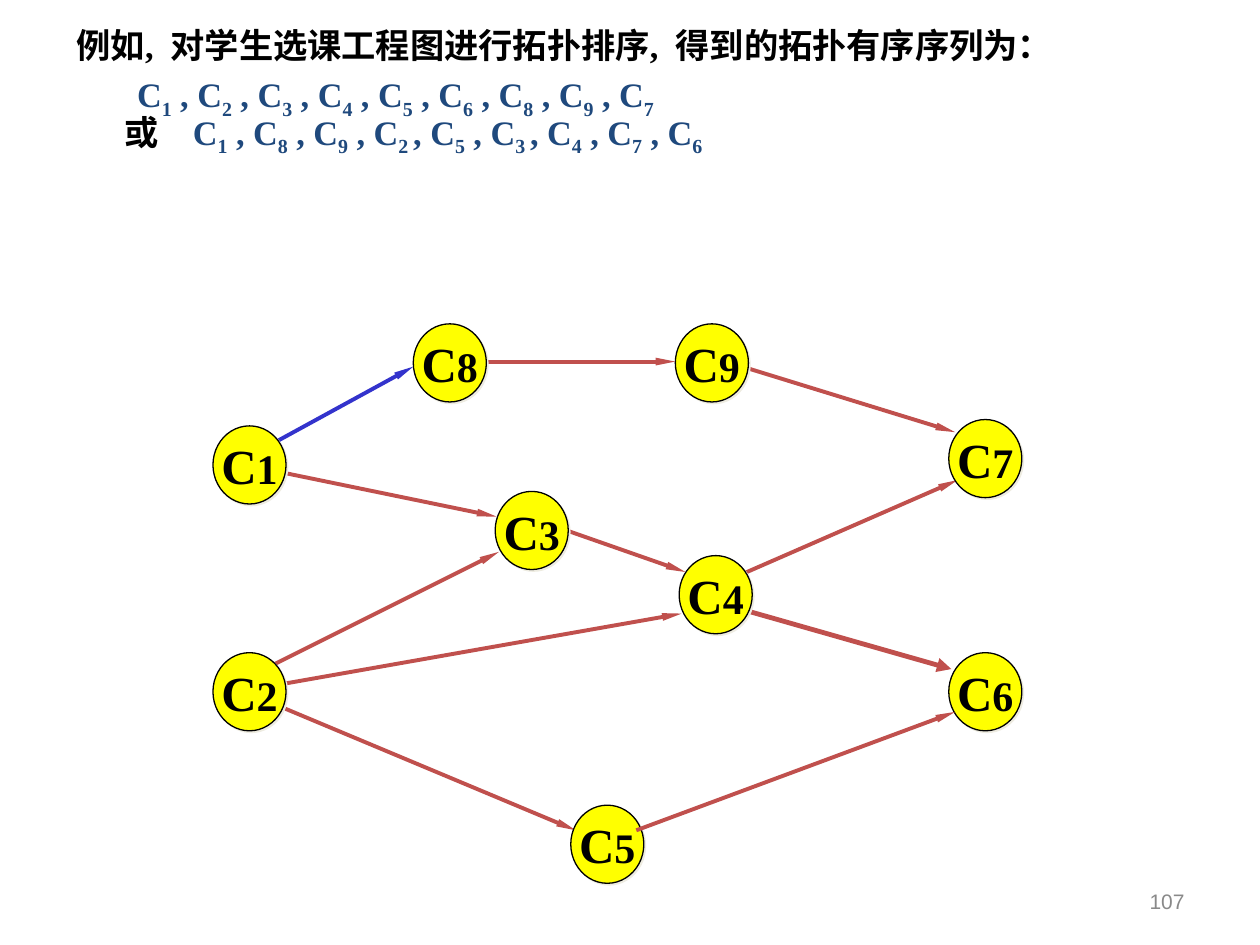
"""Build a slide with a course graph and two of its topological orders."""
from lxml import etree
from pptx import Presentation
from pptx.dml.color import RGBColor
from pptx.enum import shapes, text
from pptx.oxml import ns
from pptx.util import Inches, Pt

SERIF = "Times New Roman"
BLACK, NAVY, RED, BLUE = "000000", "1F497D", "C0504D", "3333CC"
YELLOW, CREAM, GRAY = "FFFF00", "EEECE1", "898989"
NODE_W, NODE_H = 0.58, 0.62

TITLE = "例如,  对学生选课工程图进行拓扑排序,  得到的拓扑有序序列为："
PAGE = "107"
ORDERS = [
    ("", ["1", "2", "3", "4", "5", "6", "8", "9", "7"], 0.1, 7),
    ("或\u3000".replace("\u3000", "　"),
     ["1", "8", "9", "2 ", "5", "3 ", "4", "7", "6"], 0, 0),
]
NODES = {
    "8": (3.28, 2.57), "3": (3.93, 3.9), "5": (4.53, 6.39),
    "4": (5.39, 4.41), "9": (5.36, 2.57), "6": (7.53, 5.18),
    "7": (7.53, 3.33), "1": (1.69, 3.38), "2": (1.69, 5.18),
}
THIN, BOLD = (2.25, "sm", "lg"), (2.75, "med", "med")
EDGES_BEHIND = [
    (2.12, 5.45, 5.41, 4.87, RED, THIN),
    (4.44, 4.19, 5.44, 4.54, RED, THIN),
    (5.86, 2.9, 7.58, 3.43, RED, THIN),
    (5.79, 4.6, 7.6, 3.81, RED, THIN),
    (3.61, 2.87, 5.36, 2.87, RED, THIN),
    (5.9, 4.84, 7.55, 5.31, RED, BOLD),
    (2.11, 5.56, 4.57, 6.59, RED, THIN),
    (2.1, 5.31, 3.96, 4.38, RED, THIN),
    (1.85, 3.67, 3.94, 4.1, RED, THIN),
    (2.11, 3.55, 3.28, 2.91, BLUE, THIN),
]
EDGES_FRONT = [(5.05, 6.59, 7.58, 5.65, RED, THIN)]


def rgb(color):
    """Turn a hex string into a colour."""
    return RGBColor.from_string(color)


def add_run(p, words, size, color, name=SERIF, bold=True, sub=False):
    """Append a formatted run, lowered when it is a subscript."""
    r = p.add_run()
    r.text = words
    r.font.size, r.font.bold, r.font.name = Pt(size), bold, name
    r.font.color.rgb = rgb(color)
    if sub:
        r._r.get_or_add_rPr().set("baseline", "-25000")


def add_box(s, left, top, width, height):
    """Add a wrapping text box and return its text frame."""
    tf = s.shapes.add_textbox(*map(Inches, (left, top, width, height))).text_frame
    tf.word_wrap = True
    return tf


def set_indent(p, left, first):
    """Set the left margin and first-line indent of a paragraph."""
    pPr = p._p.get_or_add_pPr()
    pPr.set("marL", str(Inches(left)))
    pPr.set("indent", str(Inches(first)))
    p.line_spacing = 0.8


def add_orders(s):
    """Write the heading and the orders with subscripts."""
    tf = add_box(s, 0.51, 0.21, 9, 1.36)
    p = tf.paragraphs[0]
    set_indent(p, 0.38, -0.38)
    add_run(p, TITLE, 19.6, BLACK)
    for lead, order, first, before in ORDERS:
        p = tf.add_paragraph()
        set_indent(p, 0.38, first)
        p.space_before = Pt(before)
        if lead:
            add_run(p, lead, 19.6, BLACK)
        joint = ""
        for number in order:
            add_run(p, joint + "C", 19.6, NAVY)
            add_run(p, number, 19.6, NAVY, sub=True)
            joint = ", " if number.endswith(" ") else " , "


def add_edge(s, x1, y1, x2, y2, color, style):
    """Draw an arrow between two points."""
    width, head_w, head_len = style
    line = s.shapes.add_connector(
        shapes.MSO_CONNECTOR.STRAIGHT, *map(Inches, (x1, y1, x2, y2)))
    line.line.color.rgb = rgb(color)
    line.line.width = Pt(width)
    etree.SubElement(line.line._get_or_add_ln(), ns.qn("a:tailEnd"),
                     type="triangle", w=head_w, len=head_len)
    etree.SubElement(line._element.spPr, ns.qn("a:effectLst"))


def add_node(s, number, left, top):
    """Draw one course circle with its label and small shadow."""
    sp = s.shapes.add_shape(shapes.MSO_SHAPE.OVAL,
                            *map(Inches, (left, top, NODE_W, NODE_H)))
    sp.fill.solid()
    sp.fill.fore_color.rgb = rgb(YELLOW)
    sp.line.color.rgb = rgb(BLACK)
    sp.line.width = Pt(0.75)
    sp.shadow.inherit = False
    effects = sp._element.spPr.find(ns.qn("a:effectLst"))
    shadow = etree.SubElement(effects, ns.qn("a:outerShdw"), dist=str(Pt(1.4)),
                              dir="2700000", algn="ctr", rotWithShape="0")
    etree.SubElement(shadow, ns.qn("a:srgbClr"), val=CREAM)
    tf = sp.text_frame
    tf.word_wrap = False
    tf.vertical_anchor = text.MSO_ANCHOR.MIDDLE
    p = tf.paragraphs[0]
    p.alignment = text.PP_ALIGN.CENTER
    add_run(p, "C", 28, BLACK)
    add_run(p, number, 24, BLACK)


def main():
    """Assemble and save the slide."""
    prs = Presentation()
    prs.slide_width, prs.slide_height = Inches(10), Inches(7.5)
    s = prs.slides.add_slide(prs.slide_layouts[6])
    add_orders(s)
    tf = add_box(s, 7.17, 6.95, 2.33, 0.4)
    tf.vertical_anchor = text.MSO_ANCHOR.MIDDLE
    tf.paragraphs[0].alignment = text.PP_ALIGN.RIGHT
    add_run(tf.paragraphs[0], PAGE, 12, GRAY, "Arial", False)
    for edge in EDGES_BEHIND:
        add_edge(s, *edge)
    for number, place in NODES.items():
        add_node(s, number, *place)
    for edge in EDGES_FRONT:
        add_edge(s, *edge)
    prs.save("out.pptx")


if __name__ == "__main__":
    main()
